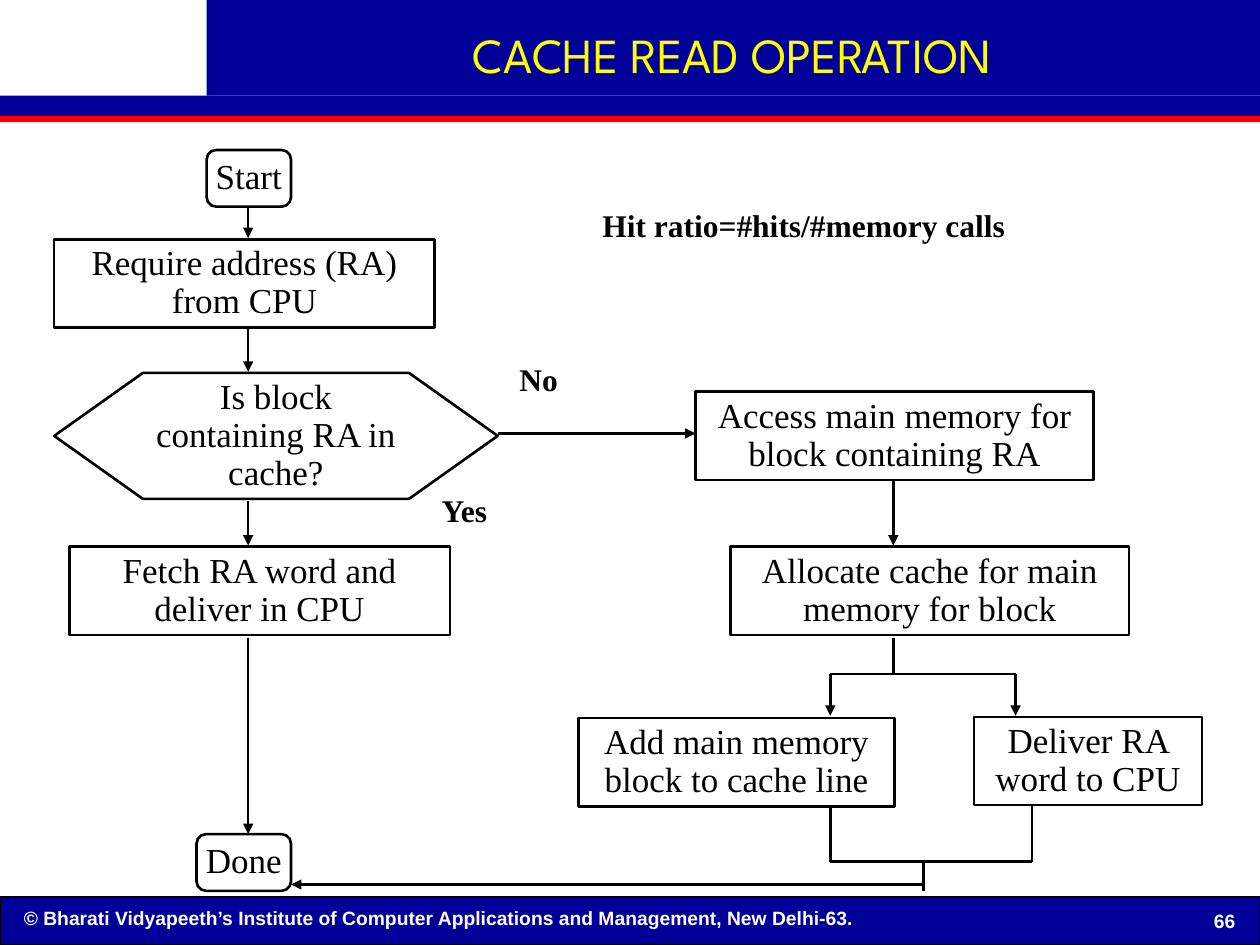
from pptx import Presentation
from pptx.dml.color import RGBColor
from pptx.enum.shapes import MSO_CONNECTOR, MSO_SHAPE as SHAPE
from pptx.enum.text import MSO_ANCHOR as ANCHOR, PP_ALIGN as ALIGN
from pptx.oxml.ns import qn
from pptx.util import Inches, Pt
from lxml.etree import SubElement

NAVY = RGBColor(0x00, 0x00, 0x99)
RED = RGBColor(0xFF, 0x00, 0x00)
YELLOW = RGBColor(0xFF, 0xFF, 0x00)
WHITE = RGBColor(0xFF, 0xFF, 0xFF)
BLACK = RGBColor(0x00, 0x00, 0x00)


def write(sp, text, size=20, font="Times New Roman", color=BLACK, bold=False,
          align=ALIGN.CENTER, anchor=ANCHOR.MIDDLE, wrap=True, inset=0.05, spacing=0.9):
    tf = sp.text_frame
    tf.word_wrap = wrap
    tf.vertical_anchor = anchor
    tf.margin_left = tf.margin_right = Inches(inset)
    tf.margin_top = tf.margin_bottom = Inches(0.05)
    p = tf.paragraphs[0]
    p.alignment = align
    p.line_spacing = spacing
    r = p.add_run()
    r.text = text
    r.font.size = Pt(size)
    r.font.name = font
    r.font.bold = bold
    r.font.color.rgb = color


class Flowchart:
    """Draws bands, steps, labels and arrows in one style on a slide."""

    def __init__(self, slide, width=1.5):
        self.shapes = slide.shapes
        self.width = Pt(width)

    def shape(self, kind, x, y, w, h):
        sp = self.shapes.add_shape(kind, Inches(x), Inches(y), Inches(w), Inches(h))
        sp.shadow.inherit = False
        return sp

    def band(self, x, y, w, h, color, outlined=False):
        sp = self.shape(SHAPE.RECTANGLE, x, y, w, h)
        sp.fill.solid()
        sp.fill.fore_color.rgb = color
        if outlined:
            sp.line.color.rgb = BLACK
            sp.line.width = Pt(0.75)
        else:
            sp.line.fill.background()

    def step(self, text, x, y, w, h=0.7, kind=SHAPE.FLOWCHART_PROCESS, **style):
        sp = self.shape(kind, x, y, w, h)
        sp.fill.background()
        sp.line.color.rgb = BLACK
        sp.line.width = self.width
        write(sp, text, **style)

    def terminal(self, text, x, y, w):
        self.step(text, x, y, w, 0.45, SHAPE.FLOWCHART_ALTERNATE_PROCESS, wrap=False)

    def text(self, text, x, y, w, h, **style):
        sp = self.shapes.add_textbox(Inches(x), Inches(y), Inches(w), Inches(h))
        write(sp, text, **style)

    def label(self, text, x, y, w):
        self.text(text, x, y, w, 0.37, size=18, bold=True, anchor=ANCHOR.TOP, wrap=False)

    def line(self, x1, y1, x2, y2, arrow=False):
        s = self.shapes.add_connector(MSO_CONNECTOR.STRAIGHT, Inches(x1), Inches(y1),
                                      Inches(x2), Inches(y2))
        s.line.color.rgb = BLACK
        s.line.width = self.width
        if arrow:
            SubElement(s.line._get_or_add_ln(), qn("a:tailEnd"), type="triangle")
        SubElement(s._element.spPr, qn("a:effectLst"))


def main():
    prs = Presentation()
    prs.slide_width, prs.slide_height = Inches(10), Inches(7.5)
    chart = Flowchart(prs.slides.add_slide(prs.slide_layouts[6]))

    chart.band(0, 7.12, 10, 0.38, NAVY, outlined=True)
    footer = dict(size=11, font="Arial", color=WHITE, bold=True, inset=0.1, spacing=1)
    chart.text("© Bharati Vidyapeeth’s Institute of Computer Applications and Management, "
               "New Delhi-63.", 0.09, 7.14, 9.18, 0.29, align=ALIGN.LEFT,
               anchor=ANCHOR.TOP, **footer)
    chart.text("66", 9.46, 7.19, 0.52, 0.24, **footer)
    chart.band(0, 0.92, 10, 0.05, RED)
    chart.band(1.64, 0, 8.36, 0.76, NAVY)
    chart.band(0, 0.76, 10, 0.16, NAVY)
    chart.text("CACHE READ OPERATION", 1.66, 0.01, 8.3, 0.9, size=28,
               font="League Spartan", color=YELLOW)

    chart.terminal("Start", 1.64, 1.19, 0.67)
    chart.terminal("Done", 1.56, 6.62, 0.75)
    chart.step("Is block containing RA in cache?", 0.43, 2.96, 3.52, 1,
               SHAPE.FLOWCHART_PREPARATION)
    for text, x, y, w in (
        ("Require address (RA) from CPU", 0.43, 1.9, 3.02),
        ("Fetch RA word and deliver in CPU", 0.55, 4.34, 3.02),
        ("Access main memory for block containing RA", 5.52, 3.11, 3.16),
        ("Allocate cache for main memory for block", 5.8, 4.34, 3.16),
        ("Add main memory block to cache line", 4.59, 5.7, 2.51),
        ("Deliver RA word to CPU", 7.73, 5.69, 1.81),
    ):
        chart.step(text, x, y, w)

    hit_x, miss_x, add_x, deliver_x, out_x, join_x = 1.97, 7.09, 6.59, 8.06, 8.19, 7.33
    fork_y, join_y, return_y = 5.35, 6.84, 7.02
    for x, top, bottom in (
        (hit_x, 1.64, 1.89), (hit_x, 2.61, 2.95), (hit_x, 3.98, 4.33), (hit_x, 5.06, 6.62),
        (miss_x, 3.82, 4.33), (add_x, fork_y, 5.68), (deliver_x, fork_y, 5.68),
    ):
        chart.line(x, top, x, bottom, arrow=True)
    for x, top, bottom in ((miss_x, 5.06, fork_y), (add_x, 6.41, join_y),
                           (out_x, 6.4, join_y), (join_x, join_y, 7.07)):
        chart.line(x, top, x, bottom)
    for left, right, y in ((add_x, deliver_x, fork_y), (add_x, out_x, join_y)):
        chart.line(left, y, right, y)
    chart.line(3.95, 3.44, 5.52, 3.44, arrow=True)
    chart.line(join_x, return_y, 2.31, return_y, arrow=True)

    chart.label("No", 4.07, 2.84, 0.41)
    chart.label("Yes", 3.44, 3.88, 0.49)
    chart.label("Hit ratio=#hits/#memory calls", 4.73, 1.62, 3.3)
    prs.save("out.pptx")


if __name__ == "__main__":
    main()
